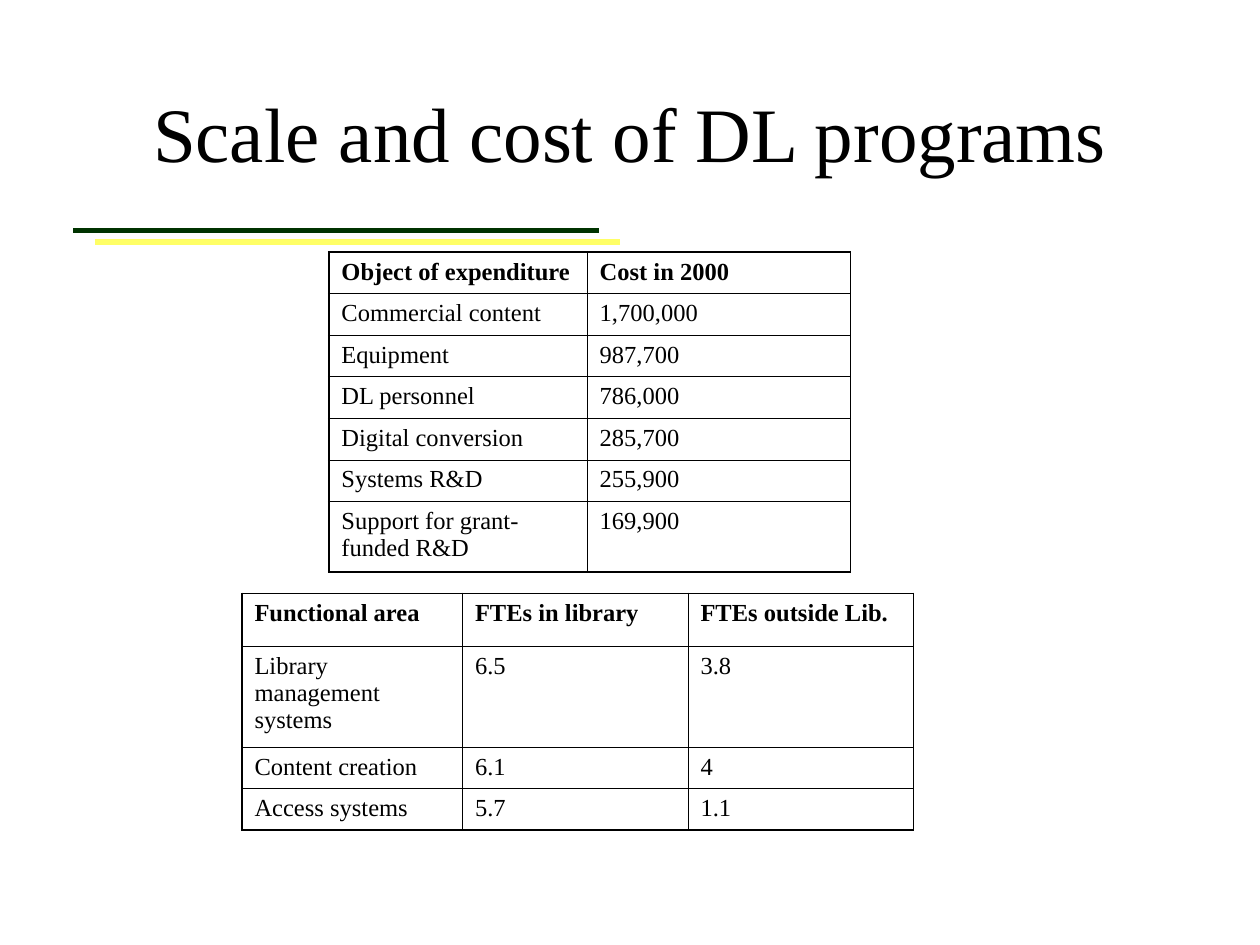
import lxml.etree
import pptx
import pptx.dml.color
import pptx.enum.shapes
import pptx.enum.text
import pptx.oxml.ns
import pptx.util

Inches = pptx.util.Inches
Pt = pptx.util.Pt
qn = pptx.oxml.ns.qn

FONT = "Times New Roman"
COLORS = {"text": "000000", "green": "003300", "yellow": "FFFF66", "border": "000000"}
OUTER_BORDER = 1.08
INNER_BORDER = 0.45

EXPENDITURE = [
    ("Object of expenditure", "Cost in 2000"),
    ("Commercial content", "1,700,000"),
    ("Equipment", "987,700"),
    ("DL personnel", "786,000"),
    ("Digital conversion", "285,700"),
    ("Systems R&D", "255,900"),
    ("Support for grant-funded R&D", "169,900"),
]
STAFFING = [
    ("Functional area", "FTEs in library", "FTEs outside Lib."),
    ("Library management systems", "6.5", "3.8"),
    ("Content creation", "6.1", "4"),
    ("Access systems", "5.7", "1.1"),
]


def color(name):
    return pptx.dml.color.RGBColor.from_string(COLORS[name])


def format_text(para, size, bold=False):
    for span in para.runs:
        span.font.name = FONT
        span.font.size = Pt(size)
        span.font.bold = bold
        span.font.color.rgb = color("text")


def set_title(page, text):
    title = page.shapes.title
    title.left, title.top = Inches(0.75), Inches(0.42)
    title.width, title.height = Inches(8.5), Inches(1.25)
    title.text_frame.text = text
    title.text_frame.vertical_anchor = pptx.enum.text.MSO_ANCHOR.MIDDLE
    para = title.text_frame.paragraphs[0]
    para.alignment = pptx.enum.text.PP_ALIGN.CENTER
    format_text(para, 44)


def add_rule(page, left, top, color_name):
    rule = page.shapes.add_connector(
        pptx.enum.shapes.MSO_CONNECTOR.STRAIGHT,
        Inches(left), Inches(top), Inches(left + 4.17), Inches(top))
    rule.line.color.rgb = color(color_name)
    rule.line.width = Pt(3)
    lxml.etree.SubElement(rule._element.spPr, qn("a:effectLst"))


def set_border(cell, side, width):
    properties = cell._tc.get_or_add_tcPr()
    line = lxml.etree.SubElement(properties, qn(f"a:ln{side}"), w=str(Pt(width)))
    fill = lxml.etree.SubElement(line, qn("a:solidFill"))
    lxml.etree.SubElement(fill, qn("a:srgbClr"), val=COLORS["border"])


def add_grid(page, left, top, widths, heights, rows):
    frame = page.shapes.add_table(
        len(rows), len(widths), Inches(left), Inches(top),
        Inches(sum(widths)), Inches(sum(heights)))
    table = frame.table
    table.first_row = False
    table.horz_banding = False
    for column, width in zip(table.columns, widths):
        column.width = Inches(width)
    for row, height in zip(table.rows, heights):
        row.height = Inches(height)
    for i, values in enumerate(rows):
        for j, value in enumerate(values):
            cell = table.cell(i, j)
            cell.text_frame.text = value
            format_text(cell.text_frame.paragraphs[0], 14, bold=i == 0)
            outer_sides = {
                "L": j == 0,
                "R": j == len(widths) - 1,
                "T": i == 0,
                "B": i == len(rows) - 1,
            }
            for side, is_outer in outer_sides.items():
                set_border(cell, side, OUTER_BORDER if is_outer else INNER_BORDER)
            cell.fill.background()


def main():
    deck = pptx.Presentation()
    deck.slide_width, deck.slide_height = Inches(10), Inches(7.5)
    page = deck.slides.add_slide(deck.slide_layouts.get_by_name("Title Only"))
    add_rule(page, 0.58, 1.83, "green")
    add_rule(page, 0.75, 1.92, "yellow")
    set_title(page, "Scale and cost of DL programs")
    add_grid(page, 2.61, 2, [2.05, 2.09], [0.33] * 6 + [0.56], EXPENDITURE)
    add_grid(page, 1.92, 4.71, [1.75, 1.79, 1.79], [0.42, 0.8, 0.33, 0.33], STAFFING)
    deck.save("out.pptx")


if __name__ == "__main__":
    main()
